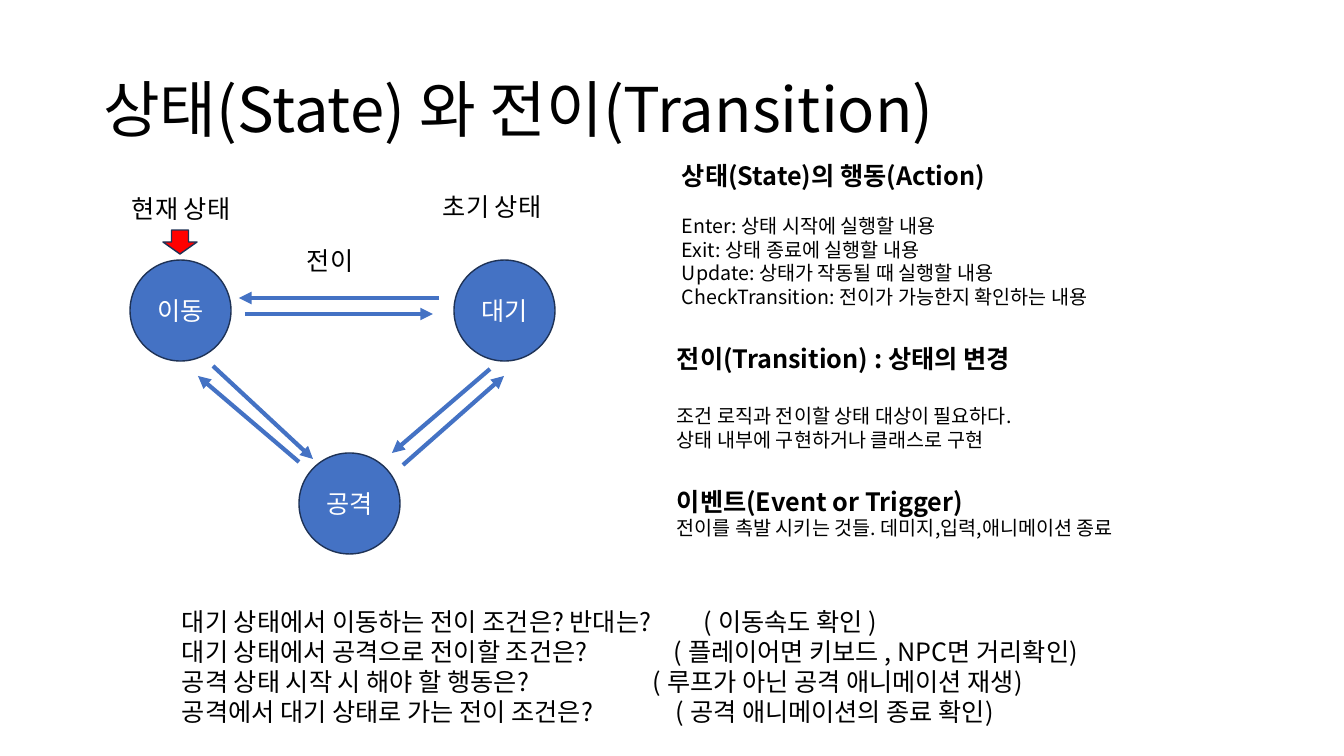
from lxml.etree import SubElement
from pptx import Presentation
from pptx.dml.color import RGBColor
from pptx.enum.shapes import MSO_CONNECTOR, MSO_SHAPE
from pptx.enum.text import MSO_ANCHOR, PP_ALIGN
from pptx.oxml.ns import qn
from pptx.util import Emu, Pt

FONT = "Noto Sans CJK KR"
BLACK, WHITE, BLUE, NAVY, RED = "000000", "FFFFFF", "4472C4", "1E3256", "FF0000"
STATE_SIZE = 101

# Places are relative to the diagram box
STATES = [("이동", 8, 74), ("공격", 177, 267), ("대기", 332, 74)]
LABELS = [("현재 상태", 0, 2, 131), ("초기 상태", 311, 0, 131), ("전이", 175, 54, 84)]
TRANSITIONS = [
    (317, 112, 117, 112), (123, 128, 311, 128),
    (91, 180, 191, 273), (177, 276, 76, 190),
    (368, 183, 270, 267), (281, 279, 382, 190),
]

# Left, top, width, height, heading, gap below the heading in points, lines
DETAILS = [
    (5, 0, 460, 159, "상태(State)의 행동(Action)", 17, [
        "Enter: 상태 시작에 실행할 내용",
        "Exit: 상태 종료에 실행할 내용",
        "Update: 상태가 작동될 때 실행할 내용",
        "CheckTransition: 전이가 가능한지 확인하는 내용"]),
    (0, 183, 607, 119, "전이(Transition) : 상태의 변경", 22, [
        "조건 로직과 전이할 상태 대상이 필요하다.",
        "상태 내부에 구현하거나 클래스로 구현"]),
    (0, 326, 512, 65, "이벤트(Event or Trigger)", 0, [
        "전이를 촉발 시키는 것들. 데미지,입력,애니메이션 종료"]),
]

# Question, tab position of the answer, answer
QUESTIONS = [
    ("대기 상태에서 이동하는 전이 조건은? 반대는?", 522, "( 이동속도 확인 )"),
    ("대기 상태에서 공격으로 전이할 조건은?", 492, "( 플레이어면 키보드 , NPC면 거리확인)"),
    ("공격 상태 시작 시 해야 할 행동은?", 471, "( 루프가 아닌 공격 애니메이션 재생)"),
    ("공격에서 대기 상태로 가는 전이 조건은?", 494, "( 공격 애니메이션의 종료 확인)"),
]


def px(length):
    return Emu(round(length * 914400 / 100.8))


def color(value):
    return RGBColor.from_string(value)


def add_run(paragraph, text, size=18, ink=BLACK, bold=False):
    run = paragraph.add_run()
    run.text = text
    font = run.font
    font.name, font.size, font.bold = FONT, Pt(size), bold
    font.color.rgb = color(ink)
    SubElement(font._element, qn("a:ea"), typeface=FONT)


def add_text_box(slide, left, top, width, height):
    frame = slide.shapes.add_textbox(px(left), px(top), px(width), px(height)).text_frame
    frame.word_wrap = True
    return frame


def next_paragraph(frame):
    first = frame.paragraphs[0]
    return frame.add_paragraph() if first.runs else first


def add_filled_shape(slide, preset, left, top, width, height, fill):
    shape = slide.shapes.add_shape(preset, px(left), px(top), px(width), px(height))
    shape.shadow.inherit = False
    shape.fill.solid()
    shape.fill.fore_color.rgb = color(fill)
    shape.line.color.rgb = color(NAVY)
    shape.line.width = Pt(1)
    return shape


def add_arrow(slide, start_x, start_y, end_x, end_y):
    arrow = slide.shapes.add_connector(
        MSO_CONNECTOR.STRAIGHT, px(start_x), px(start_y), px(end_x), px(end_y))
    arrow.line.color.rgb = color(BLUE)
    arrow.line.width = Pt(3)
    SubElement(arrow.line._get_or_add_ln(), qn("a:tailEnd"), type="triangle")
    SubElement(arrow._element.spPr, qn("a:effectLst"))


def add_title(slide, left, top, width, height):
    title = slide.shapes.title
    title.left, title.top, title.width, title.height = map(px, (left, top, width, height))
    frame = title.text_frame
    frame.vertical_anchor = MSO_ANCHOR.MIDDLE
    paragraph = frame.paragraphs[0]
    paragraph.alignment = PP_ALIGN.LEFT
    paragraph.line_spacing = 0.9
    add_run(paragraph, "상태(State) 와 전이(Transition)", 44)


def add_state_diagram(slide, left, top):
    # State circles
    for name, x, y in STATES:
        state = add_filled_shape(slide, MSO_SHAPE.OVAL, left + x, top + y,
                                 STATE_SIZE, STATE_SIZE, BLUE)
        state.text_frame.vertical_anchor = MSO_ANCHOR.MIDDLE
        paragraph = state.text_frame.paragraphs[0]
        paragraph.alignment = PP_ALIGN.CENTER
        add_run(paragraph, name, ink=WHITE)

    # Transition arrows
    for start_x, start_y, end_x, end_y in TRANSITIONS:
        add_arrow(slide, left + start_x, top + start_y, left + end_x, top + end_y)

    # Labels and the marker of the current state
    for label, x, y, width in LABELS:
        frame = add_text_box(slide, left + x, top + y, width, 40)
        add_run(frame.paragraphs[0], label)
    add_filled_shape(slide, MSO_SHAPE.DOWN_ARROW, left + 41, top + 44, 34, 24, RED)


def add_details(slide, left, top):
    for x, y, width, height, heading, gap, lines in DETAILS:
        frame = add_text_box(slide, left + x, top + y, width, height)
        paragraph = next_paragraph(frame)
        paragraph.space_after = Pt(gap)
        add_run(paragraph, heading, bold=True)
        for line in lines:
            add_run(next_paragraph(frame), line, 14)


def add_questions(slide, left, top, width, height):
    frame = add_text_box(slide, left, top, width, height)
    for question, tab, answer in QUESTIONS:
        paragraph = next_paragraph(frame)
        tab_list = SubElement(paragraph._p.get_or_add_pPr(), qn("a:tabLst"))
        SubElement(tab_list, qn("a:tab"), pos=str(px(tab)), algn="l")
        add_run(paragraph, question + "\t")
        add_run(paragraph, answer)


def main():
    presentation = Presentation()
    presentation.slide_width, presentation.slide_height = px(1344), px(756)
    slide = presentation.slides.add_slide(presentation.slide_layouts[5])
    add_title(slide, 93, 40, 1159, 146)
    add_state_diagram(slide, 122, 186)
    add_details(slide, 667, 155)
    add_questions(slide, 172, 601, 1080, 132)
    presentation.save("out.pptx")


if __name__ == "__main__":
    main()
